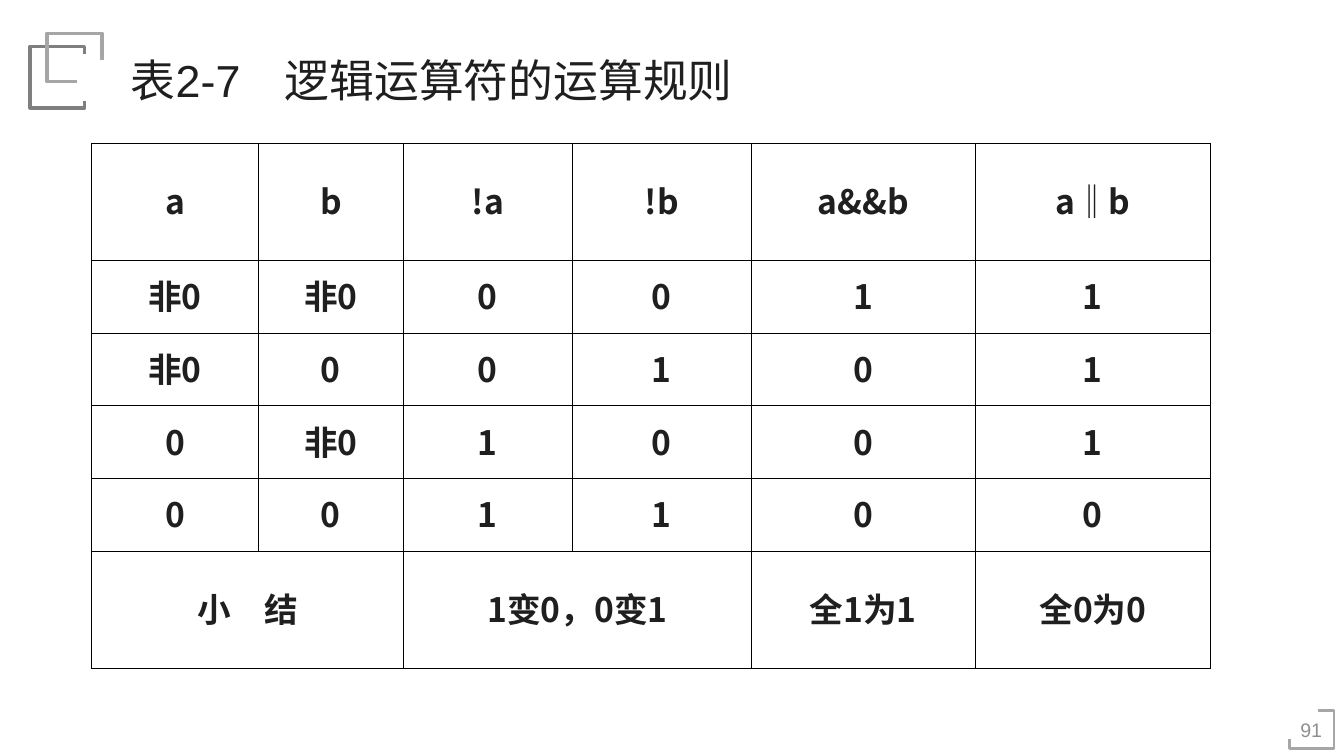
from lxml.etree import SubElement
from pptx import Presentation
from pptx.dml.color import RGBColor
from pptx.enum.text import MSO_ANCHOR, PP_ALIGN
from pptx.oxml.ns import qn
from pptx.util import Cm, Pt

INK = RGBColor(0x1F, 0x1F, 0x1F)
GRAY = RGBColor(0x7F, 0x7F, 0x7F)
PALE = RGBColor(0xA6, 0xA6, 0xA6)
DIM = RGBColor(0x8F, 0x8F, 0x8F)
BLACK = RGBColor(0, 0, 0)
SANS, HAN = "Arial", "Noto Sans CJK SC"

TITLE = "表2-7\t逻辑运算符的运算规则"
TITLE_TAB = 3.88
PAGE = "91"
ROWS = [
    ("a", "b", "!a", "!b", "a&&b", "a‖b"),
    ("非0", "非0", "0", "0", "1", "1"),
    ("非0", "0", "0", "1", "0", "1"),
    ("0", "非0", "1", "0", "0", "1"),
    ("0", "0", "1", "1", "0", "0"),
    ("小　结", "", "1变0，0变1", "", "全1为1", "全0为0"),
]
WIDTHS = [4.2, 3.66, 4.25, 4.52, 5.65, 5.92]
HEIGHTS = [2.95] + [1.83] * 4 + [2.95]
LEFT, TOP = 2.31, 3.61
# Points in cm, colour, line width in points
BRACKETS = [
    ([(2.13, 1.37), (2.13, 1.17), (0.76, 1.17), (0.76, 2.72), (2.13, 2.72),
      (2.13, 2.54)], GRAY, 2.5),
    ([(2.57, 1.52), (2.57, 0.84), (1.19, 0.84), (1.19, 2.06), (1.94, 2.06)],
     PALE, 2.5),
    ([(32.51, 18.62), (32.51, 18.87), (33.63, 18.87), (33.63, 17.91),
      (33.22, 17.91)], PALE, 2),
]


def style(par, size, color, face, bold=False):
    font = par.font
    font.size, font.bold, font.name = Pt(size), bold, face
    font.color.rgb = color
    props = par._p.pPr.find(qn("a:defRPr"))
    SubElement(props, qn("a:ea"), typeface=HAN)


def add_text(slide, text, box, inset):
    """Add a text box, middle anchored, and return its paragraph."""
    frame = slide.shapes.add_textbox(*map(Cm, box)).text_frame
    frame.word_wrap = True
    frame.vertical_anchor = MSO_ANCHOR.MIDDLE
    frame.margin_left = frame.margin_right = Cm(inset)
    frame.margin_top = frame.margin_bottom = Cm(inset / 2)
    par = frame.paragraphs[0]
    par.text = text
    return par


def add_bracket(slide, points, color, width):
    spots = [(Cm(x), Cm(y)) for x, y in points]
    draft = slide.shapes.build_freeform(*spots[0])
    draft.add_line_segments(spots[1:], close=False)
    shape = draft.convert_to_shape()
    shape.shadow.inherit = False
    shape.fill.background()
    shape.line.color.rgb = color
    shape.line.width = Pt(width)


def add_borders(cell):
    props = cell._tc.get_or_add_tcPr()
    for side in "LRTB":
        line = SubElement(props, qn(f"a:ln{side}"), w=str(Pt(0.45)))
        fill = SubElement(line, qn("a:solidFill"))
        SubElement(fill, qn("a:srgbClr"), val=str(BLACK))


def add_rules(slide):
    """Add the table of operator rules."""
    size = Cm(sum(WIDTHS)), Cm(sum(HEIGHTS))
    table = slide.shapes.add_table(
        len(ROWS), len(WIDTHS), Cm(LEFT), Cm(TOP), *size).table
    table.first_row = table.horz_banding = False
    for col, width in zip(table.columns, WIDTHS):
        col.width = Cm(width)
    for r, row in enumerate(ROWS):
        table.rows[r].height = Cm(HEIGHTS[r])
        for c, text in enumerate(row):
            cell = table.cell(r, c)
            add_borders(cell)
            cell.fill.background()
            cell.vertical_anchor = MSO_ANCHOR.MIDDLE
            par = cell.text_frame.paragraphs[0]
            par.text = text
            par.alignment, par.line_spacing = PP_ALIGN.CENTER, 0.9
            style(par, 24, INK, HAN, True)
    last = len(ROWS) - 1
    for c in (0, 2):
        table.cell(last, c).merge(table.cell(last, c + 1))


def main():
    deck = Presentation()
    deck.slide_width, deck.slide_height = Cm(33.88), Cm(19.05)
    slide = deck.slides.add_slide(deck.slide_layouts[6])

    page = add_text(slide, PAGE, (32.51, 17.7, 1.09, 1.37), 0.18)
    page.alignment = PP_ALIGN.CENTER
    style(page, 14, DIM, SANS)
    for bracket in BRACKETS:
        add_bracket(slide, *bracket)

    title = add_text(slide, TITLE, (3.05, 0.89, 15.75, 2.39), 0.25)
    title.line_spacing = 0.9
    tabs = SubElement(title._p.get_or_add_pPr(), qn("a:tabLst"))
    SubElement(tabs, qn("a:tab"), pos=str(Cm(TITLE_TAB)), algn="l")
    style(title, 32, INK, SANS)

    add_rules(slide)
    deck.save("out.pptx")


if __name__ == "__main__":
    main()
